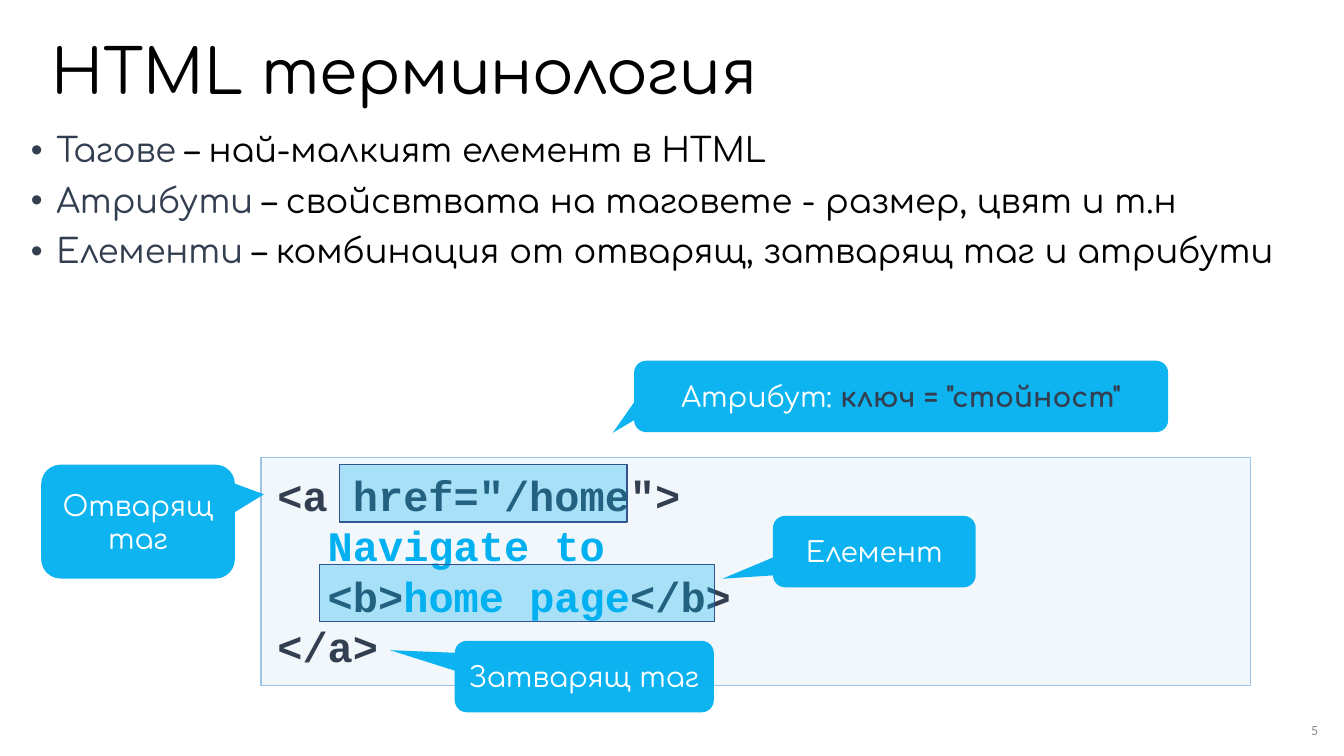
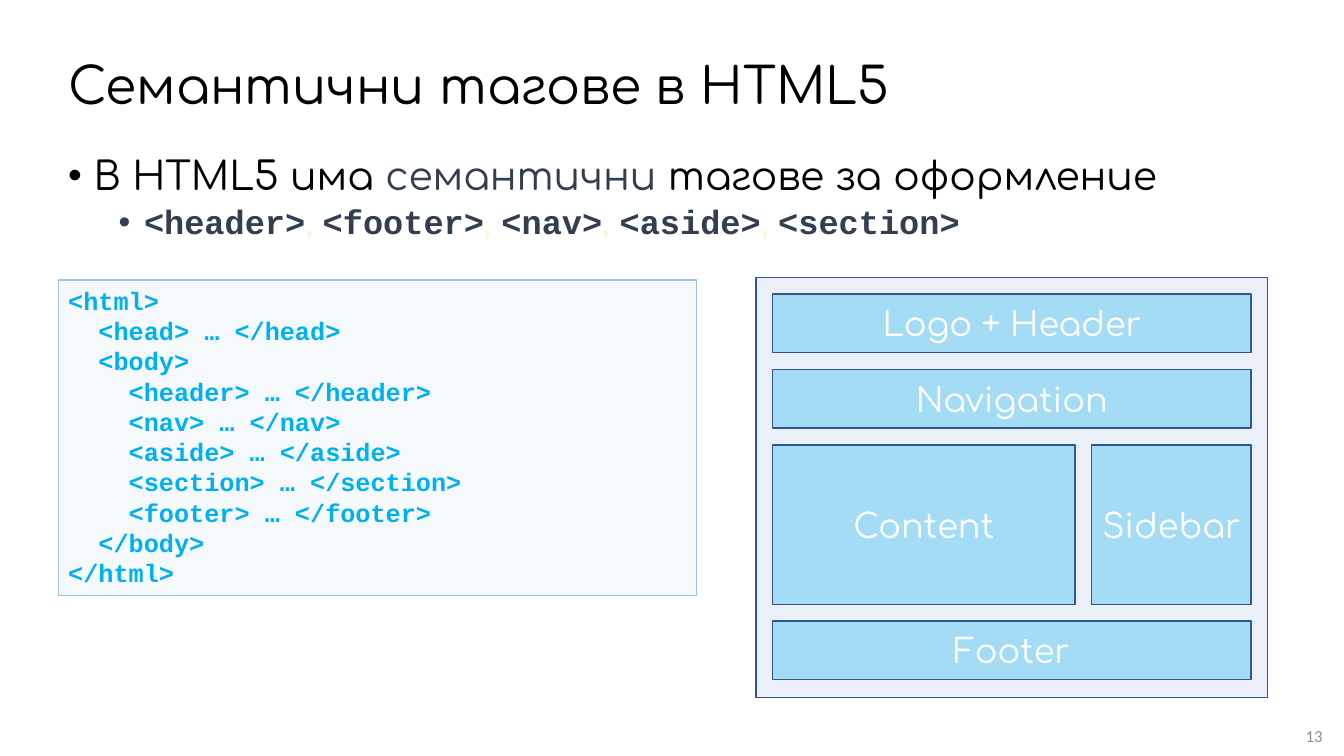
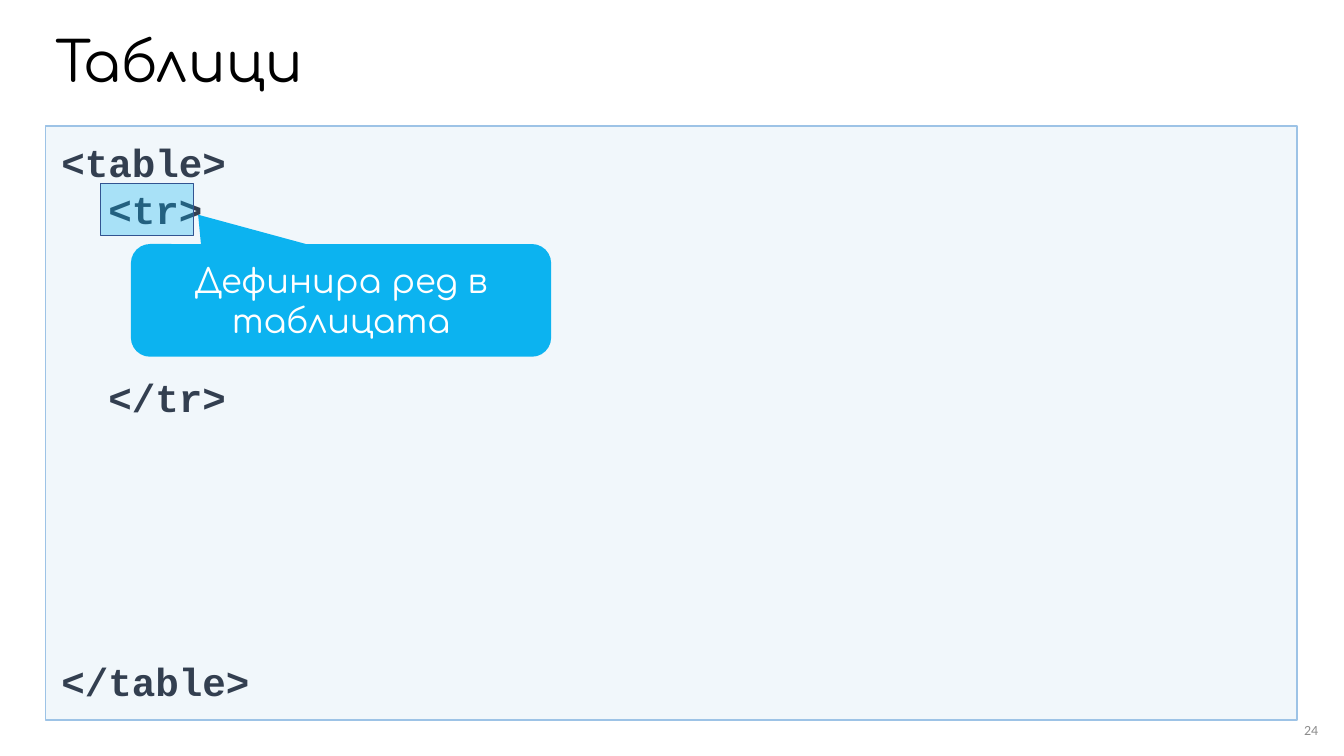
"""Build three slides on HTML terms, semantic tags and tables."""
from lxml.etree import SubElement
from pptx import Presentation
from pptx.dml.color import RGBColor
from pptx.enum.shapes import MSO_SHAPE
from pptx.enum.text import MSO_ANCHOR, MSO_AUTO_SIZE, PP_ALIGN
from pptx.oxml.ns import qn
from pptx.util import Cm, Pt

BLACK = RGBColor(0x00, 0x00, 0x00)
WHITE = RGBColor(0xFF, 0xFF, 0xFF)
NAVY = RGBColor(0x33, 0x3F, 0x50)
SKY = RGBColor(0x00, 0xB0, 0xF0)
PALE = RGBColor(0xBD, 0xD7, 0xEE)
EDGE = RGBColor(0x9D, 0xC3, 0xE6)
BLUE = RGBColor(0x44, 0x72, 0xC4)
RIM = RGBColor(0x32, 0x54, 0x91)
LIME = RGBColor(0xEB, 0xFF, 0xD2)
GREY = RGBColor(0x8C, 0x8C, 0x8C)

TEXT, MONO, SANS = "Comfortaa", "Courier New", "Calibri"
PLAIN = (TEXT, BLACK, False)
TERM = (TEXT, NAVY, False)
LIGHT = (TEXT, WHITE, False)
STRONG = (TEXT, NAVY, True)
COMMA = (TEXT, LIME, False)
CODE = (MONO, NAVY, True)
VALUE = (MONO, SKY, True)
PAGE = (SANS, GREY, False)

TAGS = ["<header>", "<footer>", "<nav>", "<aside>", "<section>"]
TAG_RUNS = [(TAGS[0], CODE)]
for tag in TAGS[1:]:
    TAG_RUNS += [(", ", COMMA), (tag, CODE)]

PARTS = ["header", "nav", "aside", "section", "footer"]
OUTLINE = ["<html>", "  <head> … </head>", "  <body>",
           *[f"    <{part}> … </{part}>" for part in PARTS],
           "  </body>", "</html>"]

SLIDES = [
    {
        "title": ("HTML терминология", 44, (1.04, 0.05, 29.21, 3.68)),
        "page": ("5", 10, (32.13, 18.14, 1.19, 0.53), 0.1),
        "code": {
            "box": (6.58, 11.53, 24.94, 5.74), "size": 30, "alpha": 20,
            "pad": (0.41, 0.3),
            "lines": [
                (0, [('<a href="/home">', CODE)]),
                (0, [("  ", CODE), ("Navigate to", VALUE)]),
                (0, [("  ", CODE), ("<b>", CODE), ("home page", VALUE),
                     ("</b>", CODE)]),
                (0, [("</a>", CODE)]),
            ],
        },
        "body": ((0.53, 3.25, 32.79, 4.24), [
            (0, 24, [("Тагове ", TERM),
                     ("– най-малкият елемент в HTML", PLAIN)]),
            (0, 24, [("Атрибути ", TERM),
                     ("– свойсвтвата на таговете - размер, цвят и т.н", PLAIN)]),
            (0, 24, [("Елементи ", TERM),
                     ("– комбинация от отварящ, затварящ таг и атрибути", PLAIN)]),
        ]),
        "marks": [(8.56, 11.71, 7.24, 1.45), (8.05, 14.22, 9.96, 1.45)],
        "notes": [
            ((1.04, 11.71, 4.88, 2.87), (0.65, -0.24), 20,
             [("Отварящ таг", LIGHT)]),
            ((15.98, 9.09, 13.46, 1.8), (-0.54, 0.51), 20,
             [("Атрибут: ", LIGHT), ('ключ = "стойност"', STRONG)]),
            ((19.48, 13, 5.11, 1.8), (-0.75, 0.38), 20, [("Елемент", LIGHT)]),
            ((11.46, 16.15, 6.53, 1.8), (-0.75, -0.37), 20,
             [("Затварящ таг", LIGHT)]),
        ],
    },
    {
        "title": ("Семантични тагове в HTML5", 36, (1.47, 0.91, 30.48, 2.62)),
        "page": ("13", 12, (31.88, 18.21, 1.7, 0.64), 0.25),
        "code": {
            "box": (1.47, 7.06, 16.08, 7.95), "size": 18, "alpha": 15,
            "pad": (0.25, 0.13),
            "lines": [(0, [(line, VALUE)]) for line in OUTLINE],
        },
        "body": ((1.47, 3.81, 30.91, 2.6), [
            (0, 28, [("В HTML5 има ", PLAIN), ("семантични ", TERM),
                     ("тагове за оформление", PLAIN)]),
            (1, 24, TAG_RUNS),
        ]),
        "frame": {
            "box": (19.05, 6.99, 12.9, 10.59), "gap": 0.42,
            "rows": [
                (1.48, [("Logo + Header", 12.06)]),
                (1.48, [("Navigation", 12.06)]),
                (4.02, [("Content", 7.62), ("Sidebar", 4.02)]),
                (1.48, [("Footer", 12.06)]),
            ],
        },
    },
    {
        "title": ("Таблици", 39.6, (1.14, 0.76, 30.4, 1.73)),
        "page": ("24", 10, (32.13, 18.14, 1.19, 0.53), 0.1),
        "code": {
            "box": (1.14, 3.18, 31.55, 14.96), "size": 28, "alpha": 20,
            "pad": (0.41, 0.3),
            "lines": [
                (0, [("<table>", CODE)]),
                (0, [("  <tr>", CODE)]),
                (101, [("  </tr>", CODE)]),
                (169, [("</table>", CODE)]),
            ],
        },
        "notes": [((3.3, 6.15, 10.59, 2.84), (-0.34, -0.76), 24,
                   [("Дефинира ред в таблицата", LIGHT)])],
        "marks": [(2.54, 4.62, 2.34, 1.32)],
    },
]


def place(box):
    return [Cm(side) for side in box]


def write(para, runs, size, align=PP_ALIGN.LEFT):
    para.alignment = align
    for text, (face, ink, bold) in runs:
        run = para.add_run()
        run.text = text
        font = run.font
        font.name, font.size, font.bold = face, Pt(size), bold
        font.color.rgb = ink


def paras(frame, count):
    yield frame.paragraphs[0]
    for _ in range(count - 1):
        yield frame.add_paragraph()


def pad(frame, across, down):
    frame.margin_left = frame.margin_right = Cm(across)
    frame.margin_top = frame.margin_bottom = Cm(down)


def add_shape(home, kind, box, fill, alpha, line=None):
    shape = home.shapes.add_shape(kind, *place(box))
    shape.shadow.inherit = False
    shape.fill.solid()
    shape.fill.fore_color.rgb = fill
    tint = shape.fill._xPr.find(qn("a:solidFill"))[0]
    SubElement(tint, qn("a:alpha"), val=str(alpha * 1000))
    if line is None:
        shape.line.fill.background()
    else:
        shape.line.color.rgb = line
        shape.line.width = Pt(1)
    shape.text_frame.word_wrap = True
    return shape


def add_title(slide, text, size, box):
    title = slide.shapes.title
    title.left, title.top, title.width, title.height = place(box)
    frame = title.text_frame
    frame.auto_size = MSO_AUTO_SIZE.NONE
    frame.vertical_anchor = MSO_ANCHOR.MIDDLE
    frame.paragraphs[0].line_spacing = 0.9
    write(frame.paragraphs[0], [(text, PLAIN)], size)


def add_page(slide, text, size, box, inset):
    frame = slide.shapes.add_textbox(*place(box)).text_frame
    frame.word_wrap = True
    frame.vertical_anchor = MSO_ANCHOR.MIDDLE
    pad(frame, inset, min(inset, 0.13))
    write(frame.paragraphs[0], [(text, PAGE)], size, PP_ALIGN.RIGHT)


def add_body(slide, box, items):
    frame = slide.shapes.add_textbox(*place(box)).text_frame
    frame.word_wrap = True
    for rank, para in enumerate(paras(frame, len(items))):
        level, size, runs = items[rank]
        props = para._p.get_or_add_pPr()
        props.set("marL", str(Cm(0.64 + 1.27 * level)))
        props.set("indent", str(-Cm(0.64)))
        SubElement(props, qn("a:buFont"), typeface="Arial")
        SubElement(props, qn("a:buChar"), char="•")
        para.level = level
        para.line_spacing = 0.9
        if rank:
            para.space_before = Pt(5 if level else 10)
        write(para, runs, size)


def add_code(slide, code):
    box = add_shape(slide, MSO_SHAPE.RECTANGLE, code["box"], PALE,
                    code["alpha"], EDGE)
    frame = box.text_frame
    frame.vertical_anchor = MSO_ANCHOR.TOP
    pad(frame, *code["pad"])
    lines = code["lines"]
    for para, (space, runs) in zip(paras(frame, len(lines)), lines):
        if space:
            para.space_before = Pt(space)
        write(para, runs, code["size"])


def add_mark(home, box):
    return add_shape(home, MSO_SHAPE.RECTANGLE, box, SKY, 30, RIM)


def add_note(slide, box, tip, size, runs):
    note = add_shape(slide, MSO_SHAPE.ROUNDED_RECTANGULAR_CALLOUT, box, SKY, 95)
    note.adjustments[0], note.adjustments[1] = tip
    note.adjustments[2] = 0.17
    write(note.text_frame.paragraphs[0], runs, size, PP_ALIGN.CENTER)


def add_frame(slide, spec):
    group = slide.shapes.add_group_shape()
    add_shape(group, MSO_SHAPE.RECTANGLE, spec["box"], BLUE, 10, RIM)
    gap = spec["gap"]
    top = spec["box"][1] + gap
    for height, cells in spec["rows"]:
        left = spec["box"][0] + gap
        for name, width in cells:
            cell = add_mark(group, (left, top, width, height))
            write(cell.text_frame.paragraphs[0], [(name, LIGHT)], 24,
                  PP_ALIGN.CENTER)
            left += width + gap
        top += height + gap


def main():
    deck = Presentation()
    deck.slide_width, deck.slide_height = Cm(33.87), Cm(19.05)
    for data in SLIDES:
        slide = deck.slides.add_slide(deck.slide_layouts[5])
        add_title(slide, *data["title"])
        add_code(slide, data["code"])
        if "body" in data:
            add_body(slide, *data["body"])
        add_page(slide, *data["page"])
        for box in data.get("marks", []):
            add_mark(slide, box)
        for note in data.get("notes", []):
            add_note(slide, *note)
        if "frame" in data:
            add_frame(slide, data["frame"])
    deck.save("out.pptx")


if __name__ == "__main__":
    main()
